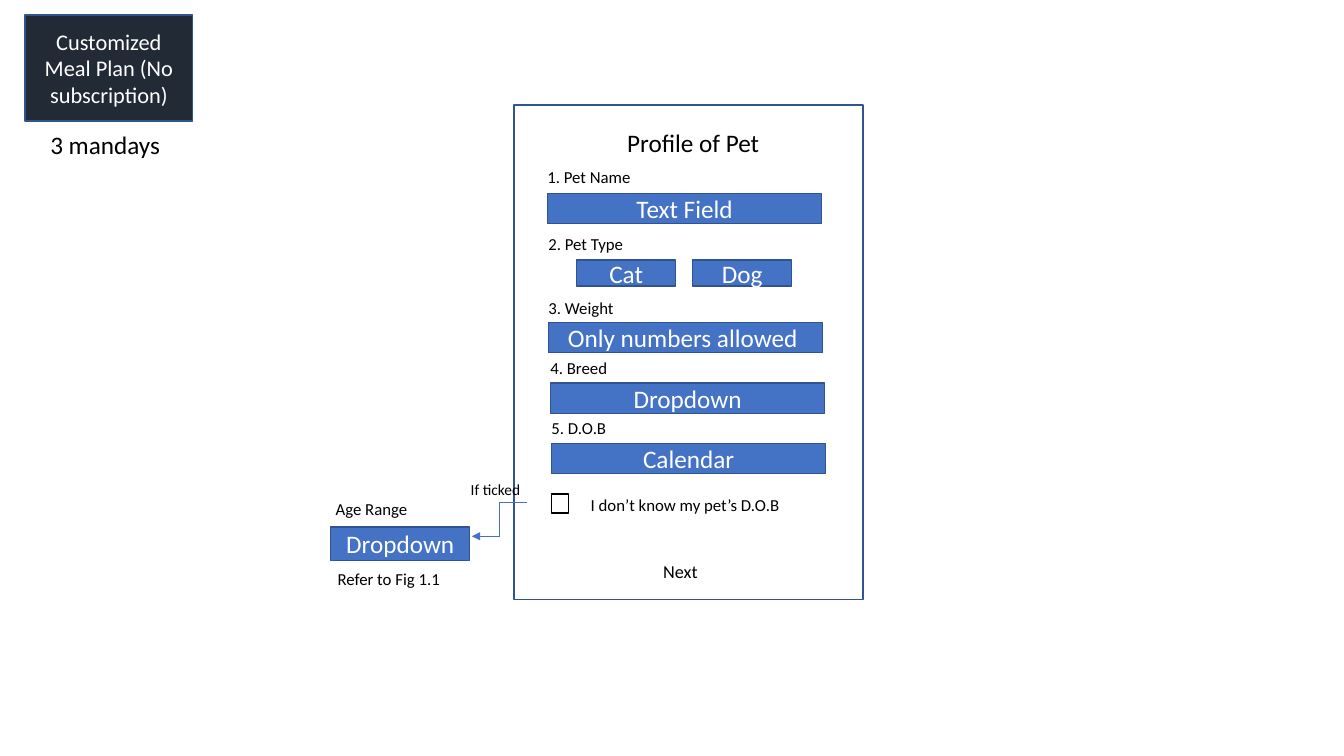
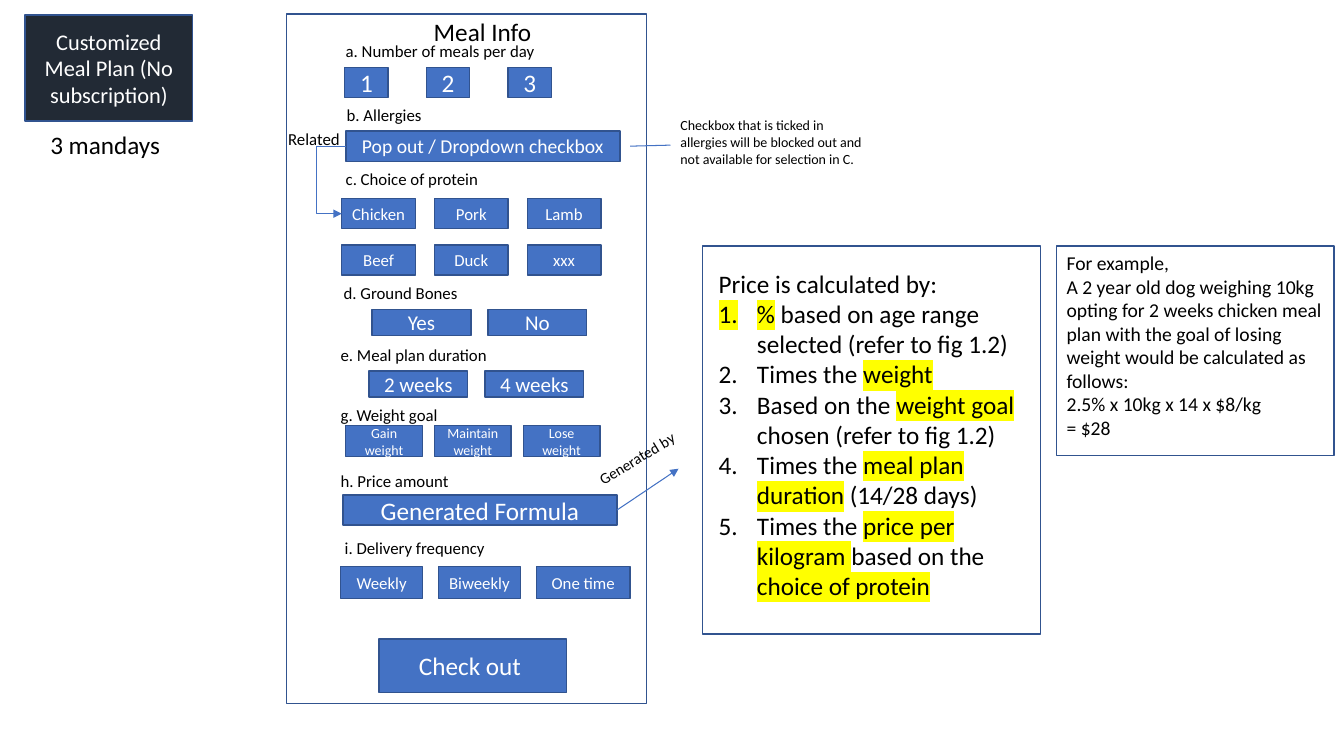
from lxml import etree
from pptx import Presentation
from pptx.dml.color import RGBColor
from pptx.enum import shapes, text
from pptx.oxml.ns import qn
from pptx.util import Inches, Pt

BLUE = RGBColor(0x44, 0x72, 0xC4)
EDGE = RGBColor(0x31, 0x53, 0x8F)
NAVY = RGBColor(0x22, 0x2A, 0x35)
WHITE = RGBColor(0xFF, 0xFF, 0xFF)
BLACK = RGBColor(0, 0, 0)
FONT = "Calibri"
MID = text.PP_ALIGN.CENTER
LEFT = text.PP_ALIGN.LEFT
STRAIGHT = shapes.MSO_CONNECTOR.STRAIGHT
ELBOW = shapes.MSO_CONNECTOR.ELBOW

# label, its left and top; text size; button width and height;
# first button's left and top, step across; rows of button names
PET = [
    ("1. Pet Name", 5.33, 1.61, 18, 2.72, 0.3, 5.43, 1.92, 0, [["Text Field"]]),
    ("2. Pet Type", 5.34, 2.27, 18, 0.98, 0.26, 5.72, 2.58, 1.15, [["Cat", "Dog"]]),
    ("3. Weight", 5.34, 2.9, 18, 2.72, 0.3, 5.44, 3.2, 0, [["Only numbers allowed "]]),
    ("4. Breed", 5.36, 3.5, 18, 2.72, 0.3, 5.46, 3.8, 0, [["Dropdown"]]),
    ("5. D.O.B", 5.37, 4.1, 18, 2.72, 0.3, 5.47, 4.4, 0, [["Calendar"]]),
    ("Age Range", 3.23, 4.9, 18, 1.38, 0.33, 3.28, 5.23, 0, [["Dropdown"]]),
]
MEAL = [
    ("a. Number of meals per day", 3.33, 0.36, 18, 0.43, 0.3, 3.42, 0.67, 0.81,
     [["1", "2", "3"]]),
    ("b. Allergies", 3.34, 0.99, 14, 2.72, 0.3, 3.43, 1.3, 0,
     [["Pop out / Dropdown checkbox"]]),
    ("c. Choice of protein", 3.33, 1.62, 12, 0.73, 0.3, 3.39, 1.97, 0.92,
     [["Chicken", "Pork", "Lamb"], ["Beef", "Duck", "xxx"]]),
    ("d. Ground Bones", 3.31, 2.76, 15, 0.98, 0.26, 3.69, 3.07, 1.15, [["Yes", "No"]]),
    ("e. Meal plan duration", 3.28, 3.37, 15, 0.98, 0.26, 3.66, 3.68, 1.15,
     [["2 weeks", "4 weeks"]]),
    ("g. Weight goal", 3.28, 3.97, 10, 0.76, 0.31, 3.43, 4.22, 0.88,
     [["Gain weight", "Maintain weight", "Lose weight"]]),
    ("h. Price amount", 3.28, 4.62, 18, 2.72, 0.3, 3.4, 4.91, 0, [["Generated Formula"]]),
    ("i. Delivery frequency", 3.32, 5.29, 12, 0.81, 0.32, 3.38, 5.62, 0.97,
     [["Weekly", "Biweekly", "One time"]]),
]
ROW_STEP = 0.46
WIDE = {"One time": 0.93}

# text, left, top, width, size
PET_NOTES = [
    ("I don’t know my pet’s D.O.B", 5.76, 4.86, 2.12, 12),
    ("Next", 6.48, 5.51, 1.37, 13),
    ("If ticked", 4.57, 4.71, 1.18, 11),
    ("Refer to Fig 1.1", 3.25, 5.59, 1.23, 12),
]
MEAL_NOTES = [
    ("Checkbox that is ticked in allergies will be blocked out and "
     "not available for selection in C.", 6.65, 1.11, 2.01, 10),
    ("Related", 2.76, 1.23, 0.79, 12),
]
PRICE = "Price is calculated by:"
# each step is a list of runs; a run in a tuple is highlighted
STEPS = [
    [("%",), " based on age range selected (refer to fig 1.2)"],
    ["Times the ", ("weight",)],
    ["Based on the ", ("weight goal ",), "chosen (refer to fig 1.2)"],
    ["Times the ", ("meal plan duration",), " (14/28 days)"],
    ["Times the ", ("price per kilogram ",), "based on the ", ("choice of protein",)],
]
SAMPLE = [
    "For example,",
    "A 2 year old dog weighing 10kg opting for 2 weeks chicken meal plan with "
    "the goal of losing weight would be calculated as follows:",
    "2.5% x 10kg x 14 x $8/kg",
    "= $28",
]


def style(para, size, color, align):
    para.alignment = align
    font = para.font
    font.name, font.size = FONT, Pt(size)
    font.color.rgb = color


def box(slide, x, y, w, h, fill=None, words="", size=18, edge=EDGE):
    shape = slide.shapes.add_shape(
        shapes.MSO_SHAPE.RECTANGLE, Inches(x), Inches(y), Inches(w), Inches(h))
    shape.shadow.inherit = False
    if fill is None:
        shape.fill.background()
    else:
        shape.fill.solid()
        shape.fill.fore_color.rgb = fill
    shape.line.color.rgb = edge
    shape.line.width = Pt(1)
    if words:
        para = shape.text_frame.paragraphs[0]
        para.text = words
        style(para, size, WHITE, MID)
    return shape


def note(slide, lines, x, y, w, size, h=0.3, align=LEFT):
    """Add a text box; each line is a string or a list of runs."""
    shape = slide.shapes.add_textbox(Inches(x), Inches(y), Inches(w), Inches(h))
    frame = shape.text_frame
    frame.word_wrap = True
    for i, line in enumerate(lines):
        para = frame.add_paragraph() if i else frame.paragraphs[0]
        style(para, size, BLACK, align)
        if isinstance(line, str):
            para.add_run().text = line
            continue
        number(para)
        for part in line:
            run = para.add_run()
            run.text = part if isinstance(part, str) else part[0]
            if isinstance(part, tuple):
                mark(run)
    return shape


def number(para):
    props = para._p.get_or_add_pPr()
    props.set("marL", str(Inches(0.38)))
    props.set("indent", str(-Inches(0.38)))
    bullet = etree.Element(qn("a:buAutoNum"), type="arabicPeriod")
    props.insert(0, bullet)


def mark(run):
    """Highlight a run in yellow."""
    light = etree.SubElement(run._r.get_or_add_rPr(), qn("a:highlight"))
    etree.SubElement(light, qn("a:srgbClr"), val="FFFF00")


def link(slide, kind, x1, y1, x2, y2, arrow=True):
    line = slide.shapes.add_connector(
        kind, Inches(x1), Inches(y1), Inches(x2), Inches(y2))
    line.line.color.rgb = BLUE
    line.line.width = Pt(0.75)
    if arrow:
        etree.SubElement(line.line._get_or_add_ln(), qn("a:tailEnd"), type="triangle")
    etree.SubElement(line._element.spPr, qn("a:effectLst"))
    return line


def bend(line, x):
    """Put the elbow's upright part at x inches."""
    ratio = (Inches(x) - line.begin_x) / (line.end_x - line.begin_x)
    geom = line._element.spPr.find(qn("a:prstGeom"))
    guides = geom.find(qn("a:avLst"))
    if guides is None:
        guides = etree.SubElement(geom, qn("a:avLst"))
    etree.SubElement(guides, qn("a:gd"), name="adj1", fmla=f"val {round(ratio * 100000)}")


def form(slide, groups, notes):
    """Draw labelled button groups and notes; return the buttons by name."""
    made = {}
    for label, lx, ly, size, w, h, x, y, step, rows in groups:
        note(slide, [label], lx, ly, 2.25, 12)
        for r, row in enumerate(rows):
            for c, name in enumerate(row):
                made[name] = box(slide, x + c * step, y + r * ROW_STEP,
                                 WIDE.get(name, w), h, BLUE, name, size)
    for words, x, y, w, size in notes:
        note(slide, [words], x, y, w, size)
    return made


def page(deck, title, tx, ty, panel):
    slide = deck.slides.add_slide(deck.slide_layouts[6])
    box(slide, *panel, WHITE)
    box(slide, 0.25, 0.15, 1.66, 1.05, NAVY, "Customized Meal Plan (No subscription)", 16)
    note(slide, ["3 mandays"], 0.4, 1.23, 1.35, 18, 0.4)
    note(slide, [title], tx, ty, 2.29, 18, 0.4, MID)
    return slide


def pet(deck):
    slide = page(deck, "Profile of Pet", 5.73, 1.21, (5.1, 1.04, 3.46, 4.91))
    form(slide, PET, PET_NOTES)
    box(slide, 5.47, 4.9, 0.17, 0.19, WHITE, edge=BLACK)
    link(slide, ELBOW, 5.23, 4.99, 4.68, 5.32)


def meal(deck):
    slide = page(deck, "Meal Info", 3.64, 0.11, (2.84, 0.14, 3.57, 6.84))
    made = form(slide, MEAL, MEAL_NOTES)
    box(slide, 3.76, 6.34, 1.86, 0.53, BLUE, "Check out ")

    related = link(slide, ELBOW, 3.43, 1.45, 3.39, 2.13)
    related.begin_connect(made["Pop out / Dropdown checkbox"], 1)
    related.end_connect(made["Chicken"], 1)
    bend(related, 3.14)
    link(slide, STRAIGHT, 6.25, 1.45, 6.65, 1.44, arrow=False)
    source = link(slide, STRAIGHT, 6.12, 5.06, 6.73, 4.65)
    source.begin_connect(made["Generated Formula"], 3)
    note(slide, ["Generated by"], 5.79, 4.36, 1.2, 11).rotation = 328.8

    note(slide, [PRICE] + STEPS, 7.03, 2.61, 3.3, 18, 4.04)
    box(slide, 6.97, 2.44, 3.35, 3.85)
    note(slide, SAMPLE, 10.48, 2.44, 2.75, 14, 2.52)
    box(slide, 10.48, 2.44, 2.75, 2.08)


def main():
    deck = Presentation()
    deck.slide_width, deck.slide_height = Inches(13.33), Inches(7.5)
    pet(deck)
    meal(deck)
    deck.save("out.pptx")


if __name__ == "__main__":
    main()
